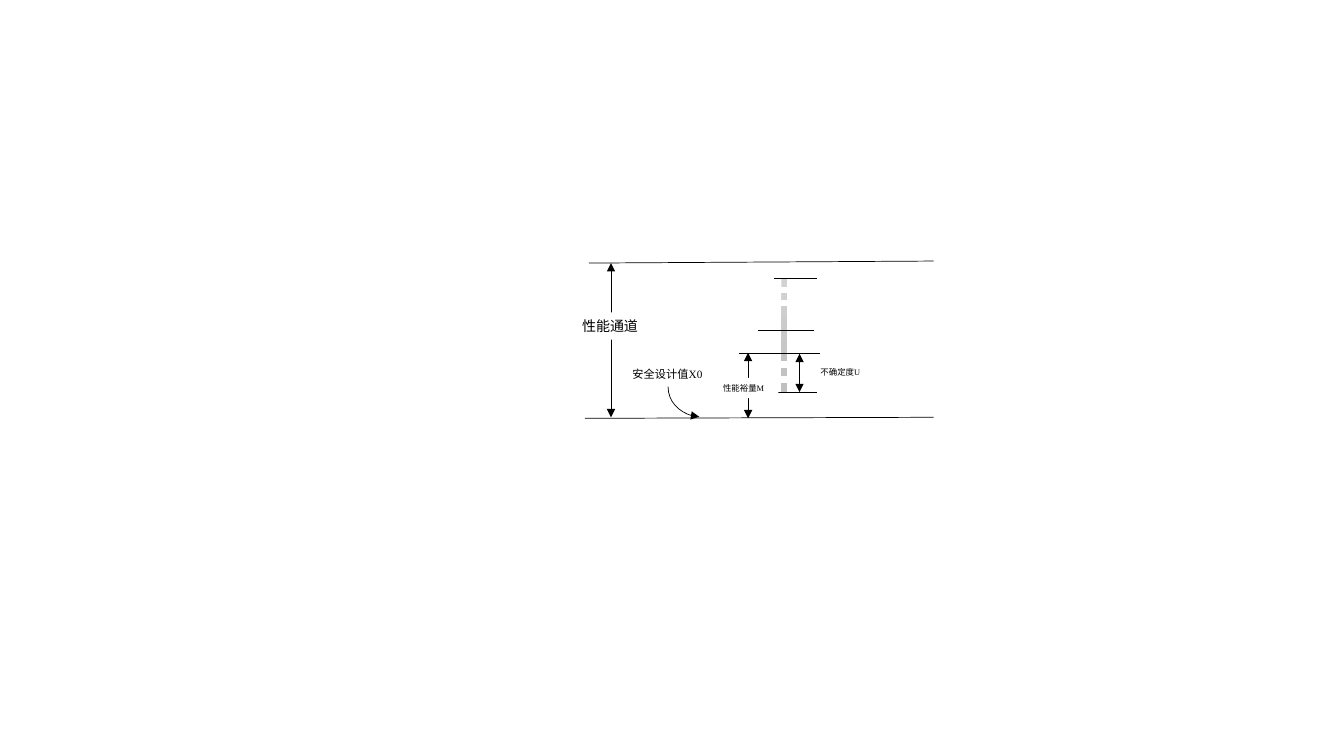
from pptx import Presentation
from pptx.dml.color import RGBColor
from pptx.enum.shapes import MSO_CONNECTOR as CONNECTOR, MSO_SHAPE as SHAPE
from pptx.enum.text import MSO_ANCHOR as ANCHOR, MSO_AUTO_SIZE as AUTO_SIZE, PP_ALIGN as ALIGN
from pptx.oxml.ns import qn
from pptx.util import Inches, Pt
from lxml import etree

BLACK = RGBColor(0x00, 0x00, 0x00)
WHITE = RGBColor(0xFF, 0xFF, 0xFF)
BAR_TOP = RGBColor(0xD2, 0xD2, 0xD2)
BAR_BOTTOM = RGBColor(0xC0, 0xC0, 0xC0)
FONT = "Times New Roman"

# Content: lengths in inches, text sizes in points
CHANNEL_LIMITS = [(5.84, 2.61, 9.26, 2.59), (5.8, 4.15, 9.26, 4.14)]
# Level marks: left, right, y
LEVELS = [(7.68, 8.1, 2.76), (7.52, 8.07, 3.28), (7.33, 8.13, 3.51), (7.68, 8.1, 3.89)]
# Double arrows: x, top, bottom
SPANS = [(6.06, 2.61, 4.14), (7.42, 3.5, 4.15), (7.93, 3.51, 3.89)]
SAFETY_POINTER = (6.93, 3.83, 6.63, 4.14)
UNCERTAINTY_BAR = (7.75, 2.76, 0.06, 1.13)
# White gaps that dash the bar: left, top, width
GAPS = [(7.63, 2.85, 0.35), (7.63, 2.98, 0.35), (7.47, 3.59, 0.35), (7.53, 3.74, 0.31)]
GAP_HEIGHT = 0.05
# Labels: text, size, left, top, width, height, covers the line behind
LABELS = [
    ("性能通道", 10, 5.59, 3.1, 0.92, 0.27, True),
    ("安全设计值X0", 8, 6.16, 3.6, 0.92, 0.24, False),
    ("不确定度U", 6, 7.97, 3.59, 0.73, 0.2, False),
    ("性能裕量M", 6, 7.03, 3.75, 0.69, 0.2, True),
]

prs = Presentation()
prs.slide_width, prs.slide_height = Inches(13.33), Inches(7.5)
slide = prs.slides.add_slide(prs.slide_layouts[6])


def add_line(ends, arrows=(), kind=CONNECTOR.STRAIGHT):
    connector = slide.shapes.add_connector(kind, *map(Inches, ends))
    connector.line.color.rgb = BLACK
    connector.line.width = Pt(0.5)
    outline = connector.line._get_or_add_ln()
    for arrow in arrows:
        etree.SubElement(outline, qn(f"a:{arrow}")).set("type", "triangle")
    etree.SubElement(connector._element.spPr, qn("a:effectLst"))
    return connector


def add_block(box):
    block = slide.shapes.add_shape(SHAPE.RECTANGLE, *map(Inches, box))
    block.shadow.inherit = False
    return block


# Shaded bar with white gaps
bar = add_block(UNCERTAINTY_BAR)
bar.line.fill.background()
bar.fill.gradient()
bar.fill.gradient_angle = 270
for stop, shade in zip(bar.fill.gradient_stops, (BAR_TOP, BAR_BOTTOM)):
    stop.color.rgb = shade

for left, top, width in GAPS:
    gap = add_block((left, top, width, GAP_HEIGHT))
    gap.fill.solid()
    gap.fill.fore_color.rgb = gap.line.color.rgb = WHITE
    gap.line.width = Pt(1)

# Limits, levels and double arrows
for limit in CHANNEL_LIMITS:
    add_line(limit)
for left, right, y in LEVELS:
    add_line((left, y, right, y))
for x, top, bottom in SPANS:
    add_line((x, top, x, bottom), ("headEnd", "tailEnd"))

# Curved pointer: a quarter bend, turned to leave the label downwards
pointer = add_line(SAFETY_POINTER, ("tailEnd",), CONNECTOR.CURVE)
pointer_format = pointer._element.spPr
pointer_format.find(qn("a:prstGeom")).set("prst", "curvedConnector2")
pointer_format.find(qn("a:xfrm")).set("rot", str(270 * 60000))

# Labels
for text, size, left, top, width, height, covers in LABELS:
    label = slide.shapes.add_textbox(*map(Inches, (left, top, width, height)))
    if covers:
        label.fill.solid()
        label.fill.fore_color.rgb = WHITE
    frame = label.text_frame
    frame_format = {
        "word_wrap": True,
        "auto_size": AUTO_SIZE.SHAPE_TO_FIT_TEXT,
        "vertical_anchor": ANCHOR.TOP,
    }
    for name, value in frame_format.items():
        setattr(frame, name, value)
    paragraph = frame.paragraphs[0]
    paragraph.alignment = ALIGN.CENTER
    run = paragraph.add_run()
    run.text = text
    for name, value in {"name": FONT, "size": Pt(size)}.items():
        setattr(run.font, name, value)
    run.font.color.rgb = BLACK

prs.save("out.pptx")
